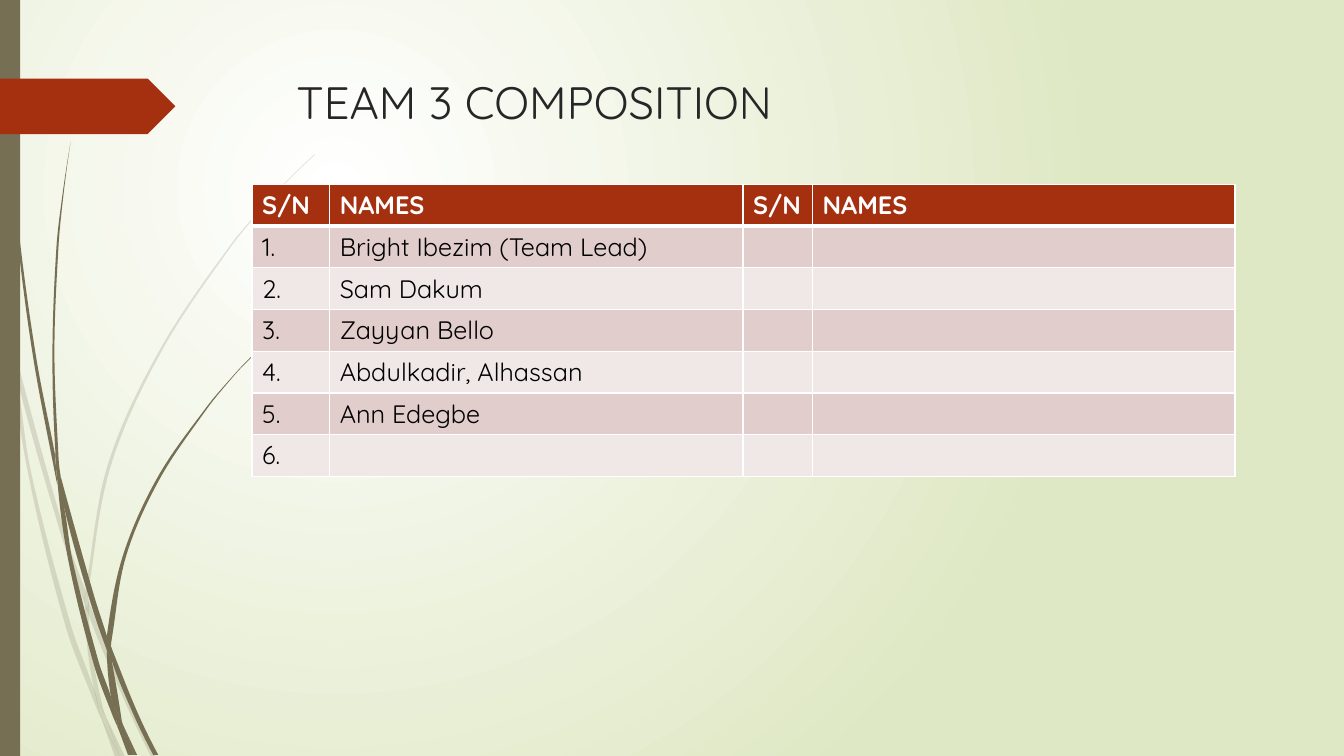
from dataclasses import dataclass

from lxml.etree import SubElement
from pptx import Presentation
from pptx.dml.color import RGBColor
from pptx.enum.shapes import MSO_SHAPE
from pptx.enum.text import MSO_ANCHOR, MSO_AUTO_SIZE, PP_ALIGN
from pptx.oxml.ns import qn
from pptx.util import Inches, Pt

FONT = "Quicksand"
OLIVE, RUST, WHITE = "766F54", "A53010", "FFFFFF"
BAND_FILLS = ("E1CDCC", "F0E8E7")
COLUMN_WIDTHS = (0.77, 4.1, 0.69, 4.19)
ROW_HEIGHT = 0.41
HEADER = ("S/N", "NAMES", "S/N", "NAMES")
MEMBERS = ("Bright Ibezim (Team Lead)", "Sam Dakum", "Zayyan Bello",
           "Abdulkadir, Alhassan", "Ann Edegbe", "")

Edge = list[tuple[float, float]]


@dataclass
class Blade:
    """A piece of grass: one edge out, the other edge back."""
    out: Edge
    back: Edge


PALE_GRASS = [
    Blade([(0.11, 3.5), (0.09, 3.22), (0, 2.82)], [(0, 2.99), (0.1, 3.44)]),
    Blade([(0.14, 3.45), (0.62, 5.2), (0.85, 5.86)],
          [(0.84, 5.99), (0.58, 5.22), (0.17, 3.76)]),
    Blade([(0.88, 5.96), (0.92, 6.07), (1.27, 6.92), (1.55, 7.51)],
          [(1.5, 7.51), (1.23, 6.94), (0.88, 6.1)]),
    Blade([(1.05, 7.11), (1.24, 7.51)], [(1.19, 7.51)]),
    Blade([(0.11, 3.5), (0.28, 4.7), (0.65, 6.21), (0.92, 6.93), (1.01, 7.14)],
          [(0.99, 7.07), (0.93, 6.83), (0.7, 6.19), (0.31, 4.69), (0.17, 3.76)]),
    Blade([(0.84, 5.99), (0.87, 6.46), (0.93, 6.83), (0.96, 6.92), (1.05, 7.11)],
          [(1.03, 7.06), (0.91, 6.46), (0.88, 6.1), (0.88, 6.08)]),
    Blade([(0.88, 5.96), (0.88, 5.84), (1.1, 4.62), (1.6, 3.49), (2.29, 2.45),
           (2.68, 1.98), (2.9, 1.75), (3.12, 1.54)],
          [(3.12, 1.53), (2.89, 1.75), (2.68, 1.97), (2.28, 2.44), (1.58, 3.48),
           (1.07, 4.61), (0.85, 5.84), (0.85, 5.86)]),
    Blade([(1.01, 7.14), (1.14, 7.51)], [(1.19, 7.51)]),
    Blade([(0.88, 6.08), (0.88, 6.1), (0.88, 5.96)], [(0.85, 5.86), (0.84, 5.99)]),
    Blade([(0.93, 6.83), (0.99, 7.07), (1.01, 7.14), (1.19, 7.51)],
          [(1.19, 7.51), (1.05, 7.11), (0.96, 6.92)]),
]
DARK_GRASS = [
    Blade([(0.03, 0), (0.04, 0.48), (0.07, 1.1), (0.17, 2.33), (0.33, 3.55),
           (0.56, 4.77), (0.57, 4.81)],
          [(0.55, 4.57), (0.55, 4.53), (0.36, 3.55), (0.19, 2.32), (0.08, 1.09),
           (0.05, 0.48), (0.04, 0)]),
    Blade([(0.6, 4.72), (0.64, 5.05), (0.88, 5.92), (1.06, 6.45)],
          [(1.06, 6.33), (1.06, 6.31), (0.93, 5.9)]),
    Blade([(1.1, 6.41), (1.13, 6.49), (1.36, 7.06), (1.57, 7.49)],
          [(1.52, 7.49), (1.32, 7.08), (1.11, 6.56)]),
    Blade([(0.57, 4.77), (0.68, 5.57), (0.93, 6.59), (1.11, 7.08), (1.17, 7.22)],
          [(1.16, 7.17), (1.1, 6.91), (0.98, 6.57), (0.72, 5.56), (0.64, 5.05)]),
    Blade([(0.6, 4.72), (0.58, 4.53), (0.54, 3.49), (0.58, 2.45), (0.63, 1.93),
           (0.7, 1.41)],
          [(0.7, 1.41), (0.62, 1.93), (0.56, 2.45), (0.52, 3.49), (0.55, 4.49)]),
    Blade([(1.22, 7.19), (1.36, 7.49)], [(1.33, 7.49)]),
    Blade([(0.55, 4.49), (0.55, 4.53), (0.57, 4.77), (0.64, 5.05)], [(0.6, 4.72)]),
    Blade([(1.1, 6.41), (1.11, 6.33), (1.25, 5.52), (1.58, 4.76), (2.05, 4.06),
           (2.31, 3.74), (2.45, 3.59), (2.61, 3.44)],
          [(2.6, 3.44), (2.45, 3.58), (2.31, 3.73), (2.04, 4.05), (1.56, 4.74),
           (1.22, 5.51), (1.06, 6.31)]),
    Blade([(1.17, 7.22), (1.27, 7.49)], [(1.31, 7.49)]),
    Blade([(1.06, 6.45), (1.1, 6.91), (1.16, 7.06), (1.22, 7.19)],
          [(1.21, 7.16), (1.11, 6.56), (1.09, 6.51)]),
    Blade([(1.06, 6.31), (1.06, 6.45)], [(1.09, 6.51), (1.11, 6.56), (1.1, 6.41)]),
    Blade([(1.1, 6.91), (1.16, 7.17), (1.17, 7.22), (1.3, 7.49)],
          [(1.33, 7.49), (1.22, 7.19), (1.16, 7.06)]),
]


def rgb(colour: str) -> RGBColor:
    return RGBColor.from_string(colour)


def unit(z: complex) -> complex:
    return z / abs(z) if z else 0j


def bezier_points(edge: Edge) -> Edge:
    """Give two control points and an end point for each step along an edge."""
    pts = [complex(*point) for point in edge]
    inner = [unit(c - a) for a, c in zip(pts, pts[2:])]
    first, last = unit(pts[1] - pts[0]), unit(pts[-1] - pts[-2])
    if inner:
        first, last = unit(2 * first - inner[0]), unit(2 * last - inner[-1])
    tangents = [first, *inner, last]
    curve = []
    for a, b, ta, tb in zip(pts, pts[1:], tangents, tangents[1:]):
        reach = abs(b - a) / 3
        curve += [a + ta * reach, b - tb * reach, b]
    return [(z.real, z.imag) for z in curve]


def paint(sp, colour: str, opacity: int = 100) -> None:
    sp.shadow.inherit = False
    sp.fill.solid()
    sp.fill.fore_color.rgb = rgb(colour)
    sp.line.fill.background()
    if opacity < 100:
        clr = sp._element.spPr.find(qn("a:solidFill")).find(qn("a:srgbClr"))
        SubElement(clr, qn("a:alpha"), val=str(opacity * 1000))


def add_blade(s, blade: Blade, opacity: int) -> None:
    outline = [blade.out[0]]
    for edge in (blade.out, [blade.out[-1], blade.back[0]], blade.back + blade.out[:1]):
        outline += bezier_points(edge)
    outline = [(Inches(x), Inches(y)) for x, y in outline]
    builder = s.shapes.build_freeform(*outline[0])
    builder.add_line_segments(outline[1:], close=True)
    sp = builder.convert_to_shape()
    lines = list(sp._element.iter(qn("a:lnTo")))
    for triple in zip(lines[::3], lines[1::3], lines[2::3]):
        curve = SubElement(triple[0].getparent(), qn("a:cubicBezTo"))
        triple[0].addprevious(curve)
        for line in triple:
            curve.append(line[0])
            line.getparent().remove(line)
    paint(sp, OLIVE, opacity)


def set_background(s) -> None:
    fill = s.background.fill
    fill.gradient()
    for stop, position, colour in zip(fill.gradient_stops, (0, 1), (WHITE, "DFE8C4")):
        stop.position = position
        stop.color.rgb = rgb(colour)
    grad = next(s._element.iter(qn("a:gradFill")))
    grad.remove(grad.find(qn("a:lin")))
    circle = SubElement(grad, qn("a:path"), path="circle")
    SubElement(circle, qn("a:fillToRect"), l="50000", t="50000", r="100000", b="100000")


def format_runs(tf, size: float, colour: str, bold: bool = False) -> None:
    for p in tf.paragraphs:
        for r in p.runs:
            r.font.name, r.font.size, r.font.bold = FONT, Pt(size), bold
            r.font.color.rgb = rgb(colour)


def set_title(s) -> None:
    title = s.shapes.title
    title.left, title.top = Inches(2.84), Inches(0.69)
    title.width, title.height = Inches(9.75), Inches(0.59)
    tf = title.text_frame
    tf.text = "TEAM 3 COMPOSITION"
    tf.auto_size, tf.vertical_anchor = MSO_AUTO_SIZE.NONE, MSO_ANCHOR.TOP
    tf.paragraphs[0].alignment = PP_ALIGN.LEFT
    format_runs(tf, 32.4, "262626")


def style_cell(cell, fill: str, widths: dict[str, int]) -> None:
    """Fill a cell and give it white borders of the widths in points."""
    tc_pr = cell._tc.get_or_add_tcPr()
    for side, width in widths.items():
        ln = SubElement(tc_pr, qn(f"a:{side}"), w=str(Pt(width)))
        SubElement(SubElement(ln, qn("a:solidFill")), qn("a:srgbClr"), val=WHITE)
    cell.fill.solid()
    cell.fill.fore_color.rgb = rgb(fill)


def add_team_table(s) -> None:
    rows = [HEADER] + [(f"{n}.", name, "", "") for n, name in enumerate(MEMBERS, 1)]
    table = s.shapes.add_table(len(rows), len(HEADER), Inches(2.5), Inches(1.83),
                               Inches(sum(COLUMN_WIDTHS)),
                               Inches(ROW_HEIGHT * len(rows))).table
    for column, width in zip(table.columns, COLUMN_WIDTHS):
        column.width = Inches(width)
    for i, texts in enumerate(rows):
        table.rows[i].height = Inches(ROW_HEIGHT)
        header = i == 0
        borders = {"lnL": 1, "lnR": 1, "lnT": 3 if i == 1 else 1, "lnB": 3 if header else 1}
        for j, text in enumerate(texts):
            cell = table.cell(i, j)
            cell.text = text
            style_cell(cell, RUST if header else BAND_FILLS[(i - 1) % 2], borders)
            format_runs(cell.text_frame, 18, WHITE if header else "000000", header)


def main() -> None:
    prs = Presentation()
    prs.slide_width, prs.slide_height = Inches(13.33), Inches(7.5)
    s = prs.slides.add_slide(prs.slide_layouts[5])
    set_background(s)
    for grass, opacity in ((PALE_GRASS, 20), (DARK_GRASS, 100)):
        for blade in grass:
            add_blade(s, blade, opacity)
    side_bar = s.shapes.add_shape(MSO_SHAPE.RECTANGLE, 0, 0, Inches(0.2), Inches(7.5))
    paint(side_bar, OLIVE)
    arrow = s.shapes.add_shape(MSO_SHAPE.PENTAGON, 0, Inches(0.78), Inches(1.74), Inches(0.55))
    paint(arrow, RUST)
    set_title(s)
    add_team_table(s)
    prs.save("out.pptx")


if __name__ == "__main__":
    main()
